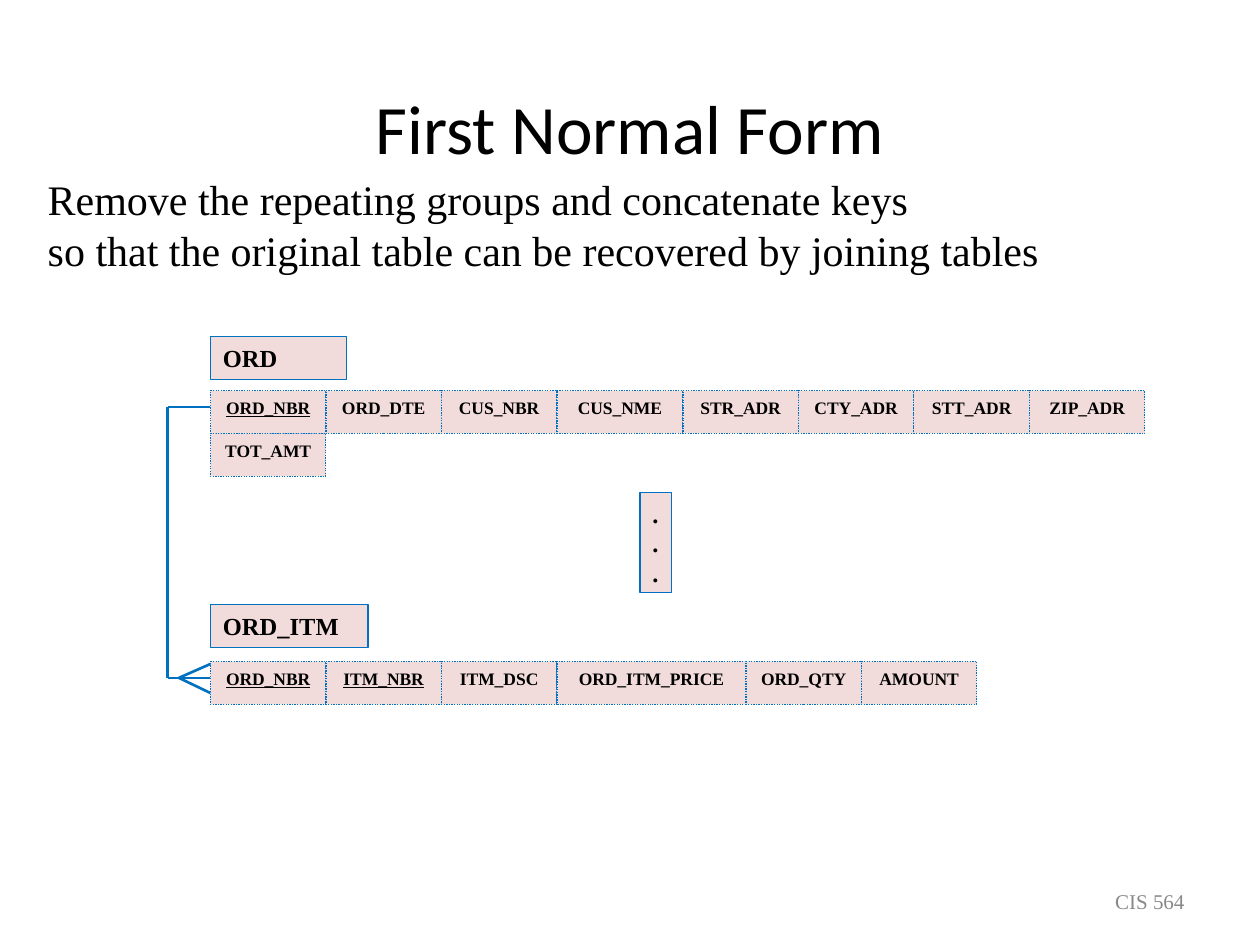
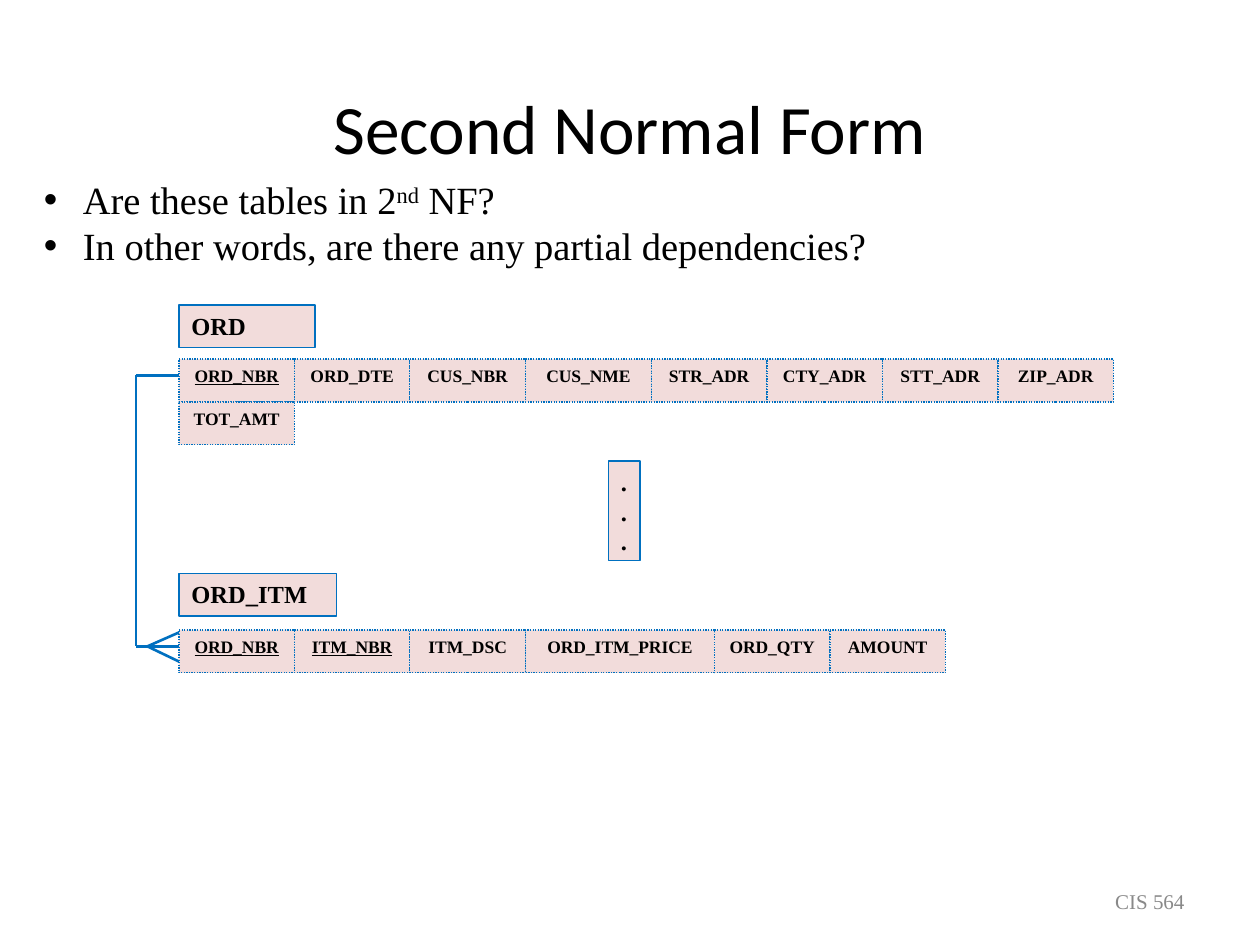
from lxml.etree import SubElement
from pptx import Presentation
from pptx.dml.color import RGBColor
from pptx.enum.dml import MSO_LINE
from pptx.enum.shapes import MSO_CONNECTOR, MSO_SHAPE
from pptx.enum.text import MSO_ANCHOR, MSO_AUTO_SIZE, PP_ALIGN
from pptx.oxml.ns import qn
from pptx.util import Inches, Pt

COLORS = {"text": "000000", "footer": "898989", "fill": "F2DCDB", "line": "0070C0"}
TITLE_FONT, BODY_FONT = "Calibri", "Times New Roman"
TITLE_ONLY = 5

FIELD_WIDTH, FIELD_HEIGHT = 11 / 12, 0.34
WIDE_FIELDS = {"CUS_NME": 1, "ORD_ITM_PRICE": 1.5}
ORDER_FIELDS = ["ORD_NBR", "ORD_DTE", "CUS_NBR", "CUS_NME",
                "STR_ADR", "CTY_ADR", "STT_ADR", "ZIP_ADR"]
ITEM_FIELDS = ["ORD_NBR", "ITM_NBR", "ITM_DSC", "ORD_ITM_PRICE", "ORD_QTY", "AMOUNT"]
KEYS = {"ORD_NBR", "ITM_NBR"}


def rgb(name):
    return RGBColor.from_string(COLORS[name])


class Deck:
    def __init__(self):
        self.prs = Presentation()
        self.prs.slide_width, self.prs.slide_height = Inches(10), Inches(7.5)
        self.slide = None

    def set_text(self, frame, text, size, align=PP_ALIGN.LEFT, font=BODY_FONT,
                 color="text", bold=False, underline=False):
        frame.text = text
        for paragraph in frame.paragraphs:
            paragraph.alignment = align
            for run in paragraph.runs:
                run.font.size, run.font.name = Pt(size), font
                run.font.bold, run.font.underline = bold, underline
                run.font.color.rgb = rgb(color)

    def add_slide(self, heading):
        """Start a slide with its title and the course footer."""
        self.slide = self.prs.slides.add_slide(self.prs.slide_layouts[TITLE_ONLY])
        title = self.slide.shapes.title
        title.left, title.top = Inches(0.75), Inches(0.67)
        title.width, title.height = Inches(8.5), Inches(0.67)
        title.text_frame.auto_size = MSO_AUTO_SIZE.NONE
        title.text_frame.vertical_anchor = MSO_ANCHOR.MIDDLE
        self.set_text(title.text_frame, heading, 39.6, PP_ALIGN.CENTER, TITLE_FONT)
        footer = self.text(7.17, 6.95, 2.33, 0.4, "CIS 564", 12,
                           align=PP_ALIGN.RIGHT, color="footer")
        footer.vertical_anchor = MSO_ANCHOR.MIDDLE

    def text(self, left, top, width, height, text, size, **style):
        frame = self.slide.shapes.add_textbox(
            Inches(left), Inches(top), Inches(width), Inches(height)).text_frame
        frame.word_wrap = True
        self.set_text(frame, text, size, **style)
        return frame

    def bullets(self, frame, indent):
        for paragraph in frame.paragraphs:
            props = paragraph._p.get_or_add_pPr()
            props.set("marL", str(Inches(indent)))
            props.set("indent", str(-Inches(indent)))
            SubElement(props, qn("a:buFont"), typeface="Arial")
            SubElement(props, qn("a:buChar"), char="•")

    def box(self, left, top, width, height, text, size=14, dotted=False, **style):
        box = self.slide.shapes.add_shape(
            MSO_SHAPE.RECTANGLE, Inches(left), Inches(top), Inches(width), Inches(height))
        box.shadow.inherit = False
        box.fill.solid()
        box.fill.fore_color.rgb = rgb("fill")
        box.line.color.rgb = rgb("line")
        box.line.width = Pt(0.75)
        if dotted:
            box.line.dash_style = MSO_LINE.ROUND_DOT
        box.text_frame.vertical_anchor = MSO_ANCHOR.TOP
        self.set_text(box.text_frame, text, size, bold=True, **style)

    def line(self, start, end):
        line = self.slide.shapes.add_connector(
            MSO_CONNECTOR.STRAIGHT, *(Inches(value) for value in (*start, *end)))
        line.line.color.rgb = rgb("line")
        line.line.width = Pt(1.5)
        SubElement(line._element.spPr, qn("a:effectLst"))

    def fields(self, left, top, names):
        for name in names:
            width = WIDE_FIELDS.get(name, FIELD_WIDTH)
            self.box(left, top, width, FIELD_HEIGHT, name, 10, dotted=True,
                     align=PP_ALIGN.CENTER, underline=name in KEYS)
            left += width

    def relation(self, left, top):
        """Draw ORD and ORD_ITM with the one-to-many link between them."""
        orders, items = top + 0.43, top + 2.58
        self.fields(left, orders, ORDER_FIELDS)
        self.fields(left, orders + FIELD_HEIGHT, ["TOT_AMT"])
        self.box(left, top, 1.08, FIELD_HEIGHT, "ORD")
        self.fields(left, items, ITEM_FIELDS)
        self.box(left, top + 2.13, 1.25, FIELD_HEIGHT, "ORD_ITM")
        self.box(left + 3.41, top + 1.24, 0.25, 0.79, ".\n.\n.")

        one, many = orders + 0.13, items + 0.13
        trunk, fork = left - 0.34, left - 0.25
        self.line((left, one), (trunk, one))
        self.line((trunk, one), (trunk, many))
        self.line((trunk, many), (left, many))
        for spread in (-0.11, 0.12):
            self.line((fork, many), (left, many + spread))


def first_normal_form(deck):
    deck.add_slide("First Normal Form")
    deck.text(0.28, 1.33, 8.81, 0.91,
              "Remove the repeating groups and concatenate keys\n"
              "so that the original table can be recovered by joining tables", 24)
    deck.relation(1.67, 2.67)


def second_normal_form(deck):
    deck.add_slide("Second Normal Form")
    questions = deck.text(0.25, 1.35, 6.75, 0.84,
                          "Are these tables in 2\n"
                          "In other words, are there any partial dependencies?", 22)
    questions.word_wrap = False
    deck.bullets(questions, 0.31)
    first = questions.paragraphs[0]
    for part, baseline in (("nd", "30000"), (" NF?", "0")):
        run = first.add_run()
        run.text = part
        run.font.size, run.font.name = Pt(22), BODY_FONT
        run.font.color.rgb = rgb("text")
        run._r.get_or_add_rPr().set("baseline", baseline)
    deck.relation(1.42, 2.42)


def main():
    deck = Deck()
    first_normal_form(deck)
    second_normal_form(deck)
    deck.prs.save("out.pptx")


if __name__ == "__main__":
    main()
